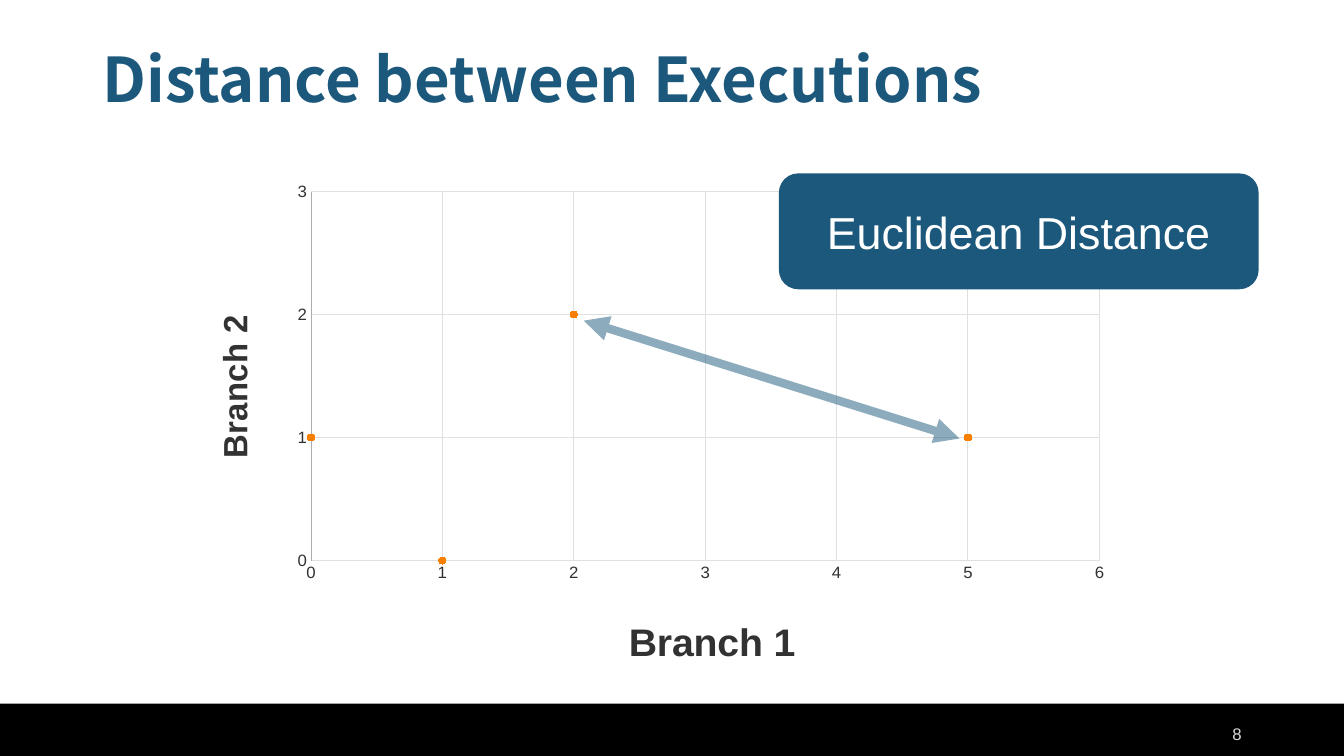
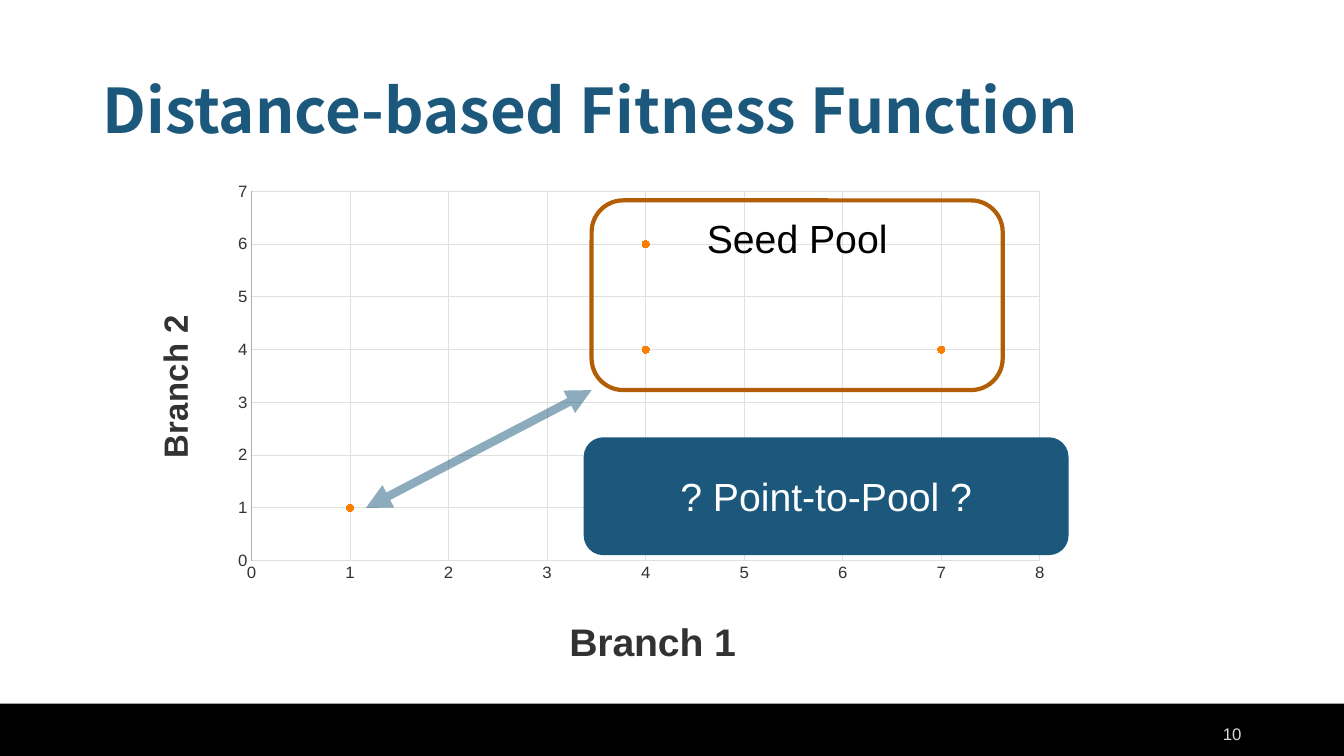
from lxml import etree
from pptx import Presentation
from pptx import util as u
from pptx.chart.data import XyChartData
from pptx.dml.color import RGBColor
from pptx.enum import chart as ch, shapes, text
from pptx.oxml import parse_xml
from pptx.oxml.ns import nsdecls, qn

BLUE, ORANGE, BROWN = "1B587C", "F97F00", "B25E07"
BLACK, WHITE, INK = "000000", "FFFFFF", "323232"
GRID, AXIS, PALE = "E0E0E0", "ADADAD", "D9D9D9"
BODY, HEADING = "Arial", "Noto Sans CJK KR"
WIDTH, HEIGHT, BAND_TOP = 33.87, 19.05, 17.73
CHART_TOP, CHART_W, CHART_H = 4.42, 23.24, 12.62
PLOT = dict(x=0.12, y=0.03, w=0.86, h=0.75)
PLOT = dict(PLOT, x=0.123, y=0.033, w=0.855, h=0.754)
# title, size, axis line, place of the title within the chart
AXES = [
    ("Branch 1", 28, GRID, dict(x=0.46, y=0.89)),
    ("Branch 2", 24, AXIS, dict(x=0.01, y=0.28)),
]

# Boxes are left, top, width, height and arrows x1, y1, x2, y2, all in cm.
SLIDES = [
    dict(
        title="Distance between Executions", title_top=0.23, number="8",
        chart_left=4.98, limits=(6, 3),
        points=[(0, 1), (1, 0), (2, 2), (5, 1)],
        arrow=(14.71, 8.08, 24.18, 11.05),
        boxes=[dict(label="Euclidean Distance", size=32, fill=BLUE,
                    at=(19.63, 4.37, 12.09, 2.92))],
    ),
    dict(
        title="Distance-based Fitness Function", title_top=1.02, number="10",
        chart_left=3.48, limits=(8, 7),
        points=[(1, 1), (4, 4), (4, 6), (7, 4)],
        arrow=(9.22, 12.8, 14.91, 9.83),
        boxes=[
            dict(label="Seed Pool", size=28, color=BLACK, line=BROWN,
                 anchor="TOP", at=(14.91, 5.05, 10.36, 4.78)),
            dict(label="? Point-to-Pool ?", size=28, fill=BLUE,
                 at=(14.71, 11.02, 12.22, 2.97)),
        ],
    ),
]


def rgb(color):
    return RGBColor.from_string(color)


def cm(values):
    return [u.Cm(v) for v in values]


def style(font, color, **values):
    font.color.rgb = rgb(color)
    for name, value in values.items():
        setattr(font, name, value)


def write(sp, label, size, color, align="LEFT", anchor="MIDDLE", font=BODY, bold=False):
    tf = sp.text_frame
    tf.word_wrap = True
    tf.vertical_anchor = getattr(text.MSO_ANCHOR, anchor)
    p = tf.paragraphs[0]
    p.alignment = getattr(text.PP_ALIGN, align)
    r = p.add_run()
    r.text = label
    style(r.font, color, size=u.Pt(size), name=font, bold=bold)
    return p


def add_box(s, at, shape="RECTANGLE", fill=None, line=None):
    sp = s.shapes.add_shape(getattr(shapes.MSO_SHAPE, shape), *cm(at))
    sp.shadow.inherit = False
    if fill:
        sp.fill.solid()
        sp.fill.fore_color.rgb = rgb(fill)
    else:
        sp.fill.background()
    if line:
        sp.line.color.rgb = rgb(line)
        sp.line.width = u.Pt(3)
    else:
        sp.line.fill.background()
    return sp


def add_label_box(s, label, size, at, fill=None, line=None, color=WHITE, anchor="MIDDLE"):
    sp = add_box(s, at, "ROUNDED_RECTANGLE", fill, line)
    write(sp, label, size, color, "CENTER", anchor)


def add_arrow(s, ends):
    """Draw a half-transparent line with a head at both ends."""
    cx = s.shapes.add_connector(shapes.MSO_CONNECTOR.STRAIGHT, *cm(ends))
    cx.line.color.rgb = rgb(BLUE)
    cx.line.width = u.Pt(6)
    ln = cx.line._get_or_add_ln()
    color = ln.find(".//" + qn("a:srgbClr"))
    etree.SubElement(color, qn("a:alpha"), val="50000")
    for end in ("a:headEnd", "a:tailEnd"):
        etree.SubElement(ln, qn(end), type="triangle")
    etree.SubElement(cx._element.spPr, qn("a:effectLst"))


def place(parent, position, inner=False):
    """Give a chart part a fixed place, in fractions of the chart."""
    layout = parent.find(qn("c:layout"))
    if layout is None:
        layout = parse_xml(f"<c:layout {nsdecls('c')}/>")
        parent.insert(0, layout)
    manual = etree.SubElement(layout, qn("c:manualLayout"))
    if inner:
        etree.SubElement(manual, qn("c:layoutTarget"), val="inner")
    for key in "xy":
        etree.SubElement(manual, qn(f"c:{key}Mode"), val="edge")
    for key, value in position.items():
        etree.SubElement(manual, qn(f"c:{key}"), val=str(value))


def format_axis(axis, limit, label, size, line, position):
    values = dict(minimum_scale=0, maximum_scale=limit, major_unit=1,
                  has_major_gridlines=True, has_title=True,
                  major_tick_mark=ch.XL_TICK_MARK.NONE,
                  minor_tick_mark=ch.XL_TICK_MARK.NONE)
    for name, value in values.items():
        setattr(axis, name, value)
    for part, color in ((axis, line), (axis.major_gridlines, GRID)):
        part.format.line.color.rgb = rgb(color)
        part.format.line.width = u.Pt(0.75)
    style(axis.tick_labels.font, INK, size=u.Pt(12), name=BODY)
    tf = axis.axis_title.text_frame
    r = tf.paragraphs[0].add_run()
    r.text = label
    style(r.font, INK, size=u.Pt(size), name=BODY, bold=True)
    place(axis.axis_title._element, position)
    return tf


def add_scatter(s, left, points, limits):
    data = XyChartData()
    series = data.add_series("Series 1")
    for x, y in points:
        series.add_data_point(x, y)
    at = cm((left, CHART_TOP, CHART_W, CHART_H))
    chart = s.shapes.add_chart(ch.XL_CHART_TYPE.XY_SCATTER, *at, data).chart
    chart.has_legend = chart.has_title = False
    style(chart.font, BLACK, size=u.Pt(10), name=BODY)
    chart.plots[0].vary_by_categories = False
    place(chart._chartSpace.chart.plotArea, PLOT, inner=True)
    frames = [format_axis(axis, limit, *spec_row) for axis, limit, spec_row
              in zip((chart.category_axis, chart.value_axis), limits, AXES)]
    frames[1]._txBody.find(qn("a:bodyPr")).set("rot", "-5400000")
    dots = chart.plots[0].series[0]
    dots.smooth = False
    dots.format.line.fill.background()
    dots.marker.style = ch.XL_MARKER_STYLE.CIRCLE
    dots.marker.size = 5
    dots.marker.format.fill.solid()
    dots.marker.format.fill.fore_color.rgb = rgb(ORANGE)
    dots.marker.format.line.fill.background()


def add_frame(s, title, title_top, number):
    add_box(s, (0, BAND_TOP, WIDTH, HEIGHT - BAND_TOP), fill=BLACK)
    heading = s.shapes.add_textbox(*cm((2.33, title_top, 29.21, 3.68)))
    write(heading, title, 44, BLUE, font=HEADING, bold=True).line_spacing = 0.9
    page = s.shapes.add_textbox(*cm((23.92, 17.98, 7.62, 1.02)))
    write(page, number, 12, PALE, "RIGHT")


def main():
    prs = Presentation()
    prs.slide_width, prs.slide_height = cm((WIDTH, HEIGHT))
    for c in SLIDES:
        s = prs.slides.add_slide(prs.slide_layouts[6])
        add_frame(s, c["title"], c["title_top"], c["number"])
        add_scatter(s, c["chart_left"], c["points"], c["limits"])
        add_arrow(s, c["arrow"])
        for box in c["boxes"]:
            add_label_box(s, **box)
    prs.save("out.pptx")


if __name__ == "__main__":
    main()
